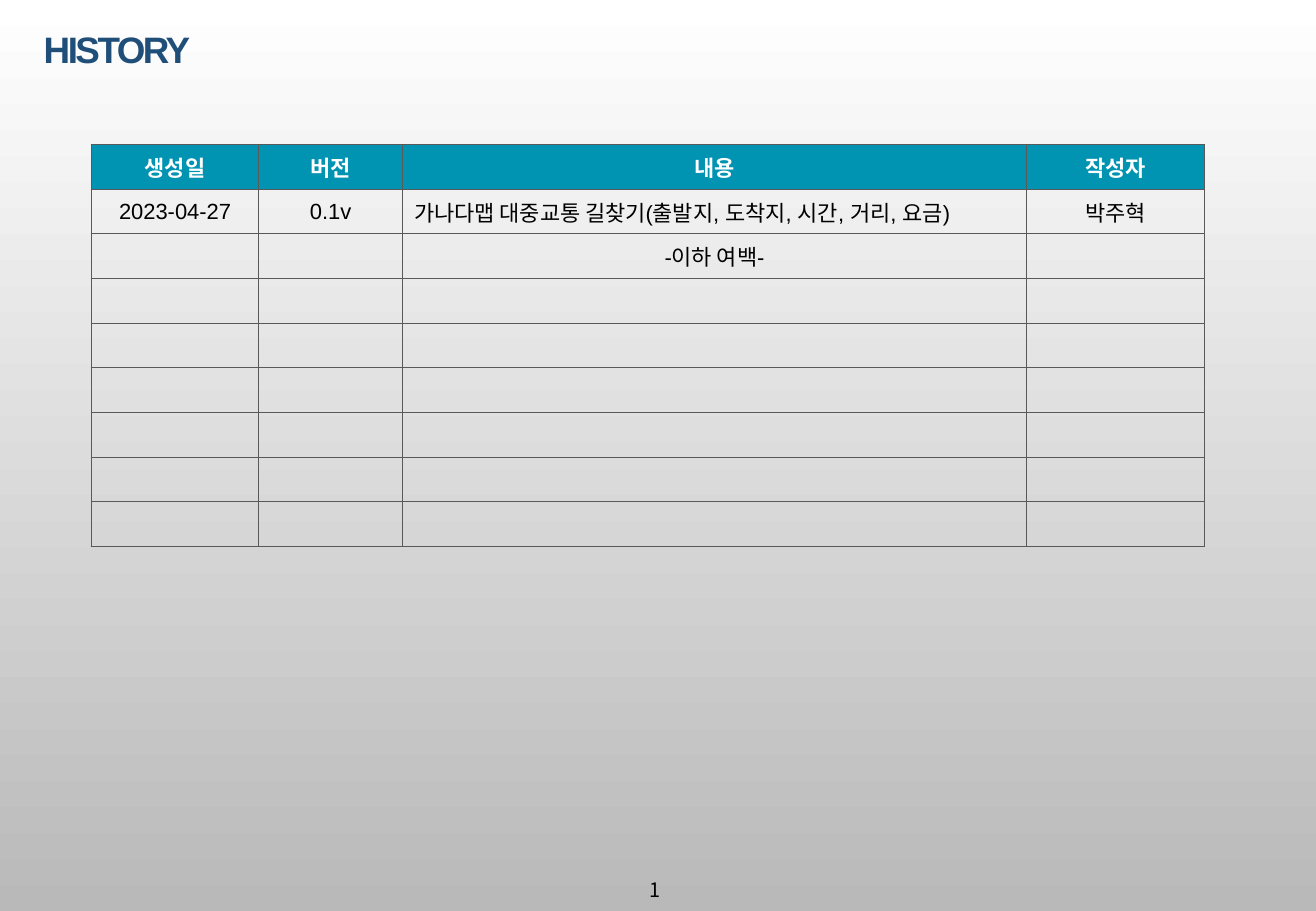
from dataclasses import dataclass

from lxml import etree
from pptx import Presentation
from pptx.dml.color import RGBColor
from pptx.enum.text import MSO_ANCHOR, MSO_AUTO_SIZE, PP_ALIGN
from pptx.oxml.ns import qn
from pptx.util import Inches, Pt

LEFT, CENTER = PP_ALIGN.LEFT, PP_ALIGN.CENTER
MIDDLE, TOP = MSO_ANCHOR.MIDDLE, MSO_ANCHOR.TOP
NO_FIT = MSO_AUTO_SIZE.NONE
TITLE_ONLY = 5


@dataclass(frozen=True)
class Theme:
    """Colours, fonts and type sizes of the slide."""
    title: str = "1F4E79"
    header: str = "0093B2"
    border: str = "595959"
    white: str = "FFFFFF"
    black: str = "000000"
    shade: str = "B9B9B9"
    latin: str = "Arial"
    korean: str = "Noto Sans CJK KR"
    title_size: float = 21.8
    table_size: float = 13
    page_size: float = 11.8
    border_width: float = 0.75
    tracking: float = -1.5


T = Theme()
COLUMNS = [("생성일", 1.38), ("버전", 1.18), ("내용", 5.14), ("작성자", 1.46)]
ENTRIES = [
    ["2023-04-27", "0.1v", "가나다맵 대중교통 길찾기(출발지, 도착지, 시간, 거리, 요금)", "박주혁"],
    ["", "", "-이하 여백-", ""],
]
ROW_COUNT = 9


def set_attrs(obj, values):
    """Set each named attribute of an object."""
    for name, value in values.items():
        setattr(obj, name, value)


def write(tf, text, size, color, font=T.latin, bold=False, align=LEFT, spacing=0):
    """Write one formatted paragraph into a text frame and return it."""
    p = tf.paragraphs[0]
    p.alignment = align
    if not text:
        etree.SubElement(p._p, qn("a:endParaRPr"), sz=str(int(size * 100)))
        return p
    r = p.add_run()
    r.text = text
    set_attrs(r.font, {"name": font, "size": Pt(size), "bold": bold})
    r.font.color.rgb = RGBColor.from_string(color)
    rPr = r.font._element
    etree.SubElement(rPr, qn("a:ea"), typeface=T.korean)
    if spacing:
        rPr.set("spc", str(int(spacing * 100)))
    return p


def paint_background(s):
    """Fill the slide from white at the top to grey at the bottom."""
    fill = s.background.fill
    fill.gradient()
    fill.gradient_angle = 270
    for stop, color in zip(fill.gradient_stops, (T.white, T.shade)):
        stop.color.rgb = RGBColor.from_string(color)


def add_title(s, left, top, width, height):
    """Place the slide heading in the title placeholder."""
    sp = s.shapes.title
    set_attrs(sp, {"left": Inches(left), "top": Inches(top),
                   "width": Inches(width), "height": Inches(height)})
    set_attrs(sp.text_frame, {"auto_size": NO_FIT, "vertical_anchor": MIDDLE, "word_wrap": True})
    p = write(sp.text_frame, "HISTORY", T.title_size, T.title, bold=True, spacing=T.tracking)
    p.line_spacing = 0.9


def add_borders(cell):
    """Draw a thin line on every side of a cell."""
    tcPr = cell._tc.get_or_add_tcPr()
    for side in ("lnL", "lnR", "lnT", "lnB"):
        ln = etree.SubElement(tcPr, qn(f"a:{side}"), w=str(Pt(T.border_width)))
        fill = etree.SubElement(ln, qn("a:solidFill"))
        etree.SubElement(fill, qn("a:srgbClr"), val=T.border)


def add_history(s, left, top, width, height):
    """Place the revision table with a header row and blank spare rows."""
    table = s.shapes.add_table(ROW_COUNT, len(COLUMNS), Inches(left), Inches(top),
                               Inches(width), Inches(height)).table
    set_attrs(table, {"first_row": False, "horz_banding": False})
    for column, (_, column_width) in zip(table.columns, COLUMNS):
        column.width = Inches(column_width)
    blanks = [[""] * len(COLUMNS)] * (ROW_COUNT - 1 - len(ENTRIES))
    rows = [[name for name, _ in COLUMNS]] + ENTRIES + blanks
    for i, row in enumerate(rows):
        for j, text in enumerate(row):
            cell = table.cell(i, j)
            cell.vertical_anchor = MIDDLE
            add_borders(cell)
            header = i == 0
            if header:
                cell.fill.solid()
                cell.fill.fore_color.rgb = RGBColor.from_string(T.header)
            else:
                cell.fill.background()
            write(cell.text_frame, text, T.table_size, T.white if header else T.black,
                  bold=header, align=LEFT if (i, j) == (1, 2) else CENTER)


def add_page_number(s, left, top, width, height):
    """Place the page number at the foot of the slide."""
    tf = s.shapes.add_textbox(Inches(left), Inches(top), Inches(width), Inches(height)).text_frame
    set_attrs(tf, {"word_wrap": False, "auto_size": NO_FIT, "vertical_anchor": TOP})
    write(tf, "1", T.page_size, T.black, font=T.korean, spacing=T.tracking)


def main():
    """Build the history slide and save it."""
    prs = Presentation()
    set_attrs(prs, {"slide_width": Inches(10.83), "slide_height": Inches(7.5)})
    s = prs.slides.add_slide(prs.slide_layouts[TITLE_ONLY])
    paint_background(s)
    add_page_number(s, 5.25, 7.18, 0.35, 0.3)
    add_title(s, 0.26, 0.17, 10.34, 0.51)
    add_history(s, 0.75, 1.19, 9.16, 3.31)
    prs.save("out.pptx")


if __name__ == "__main__":
    main()
